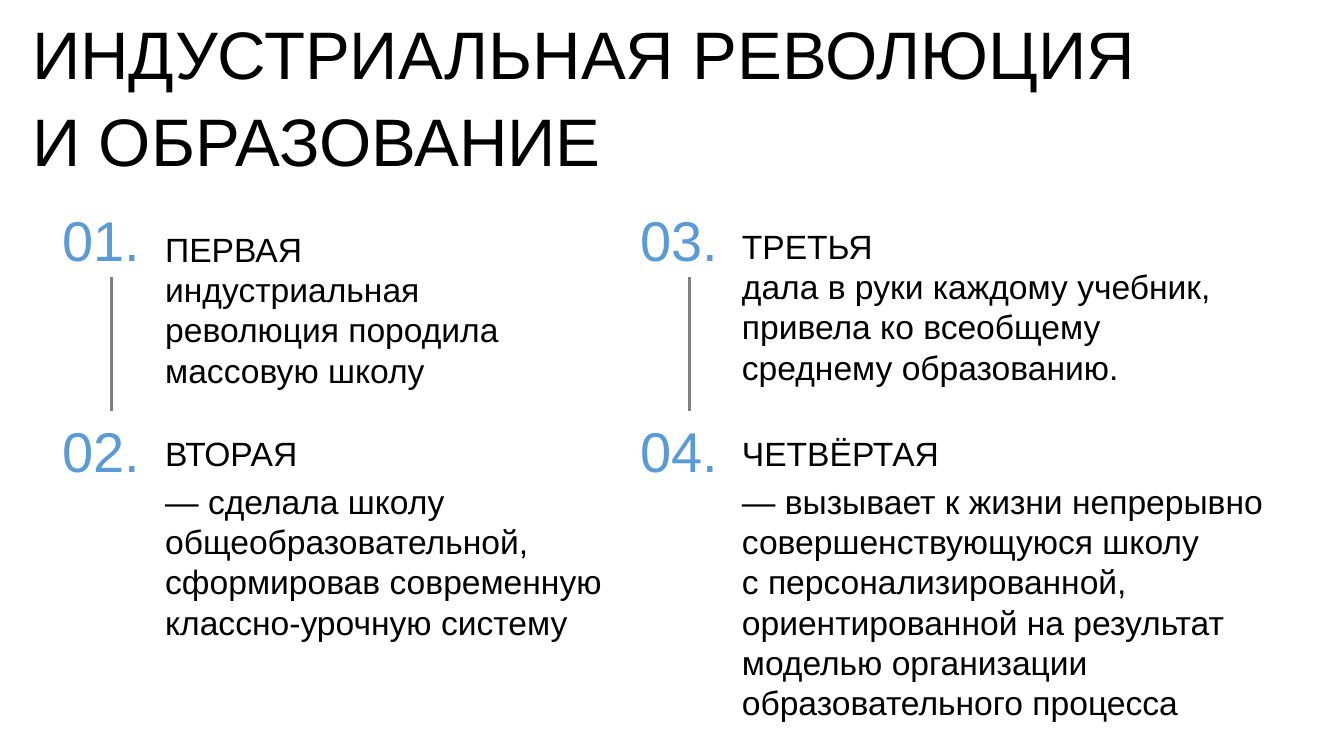
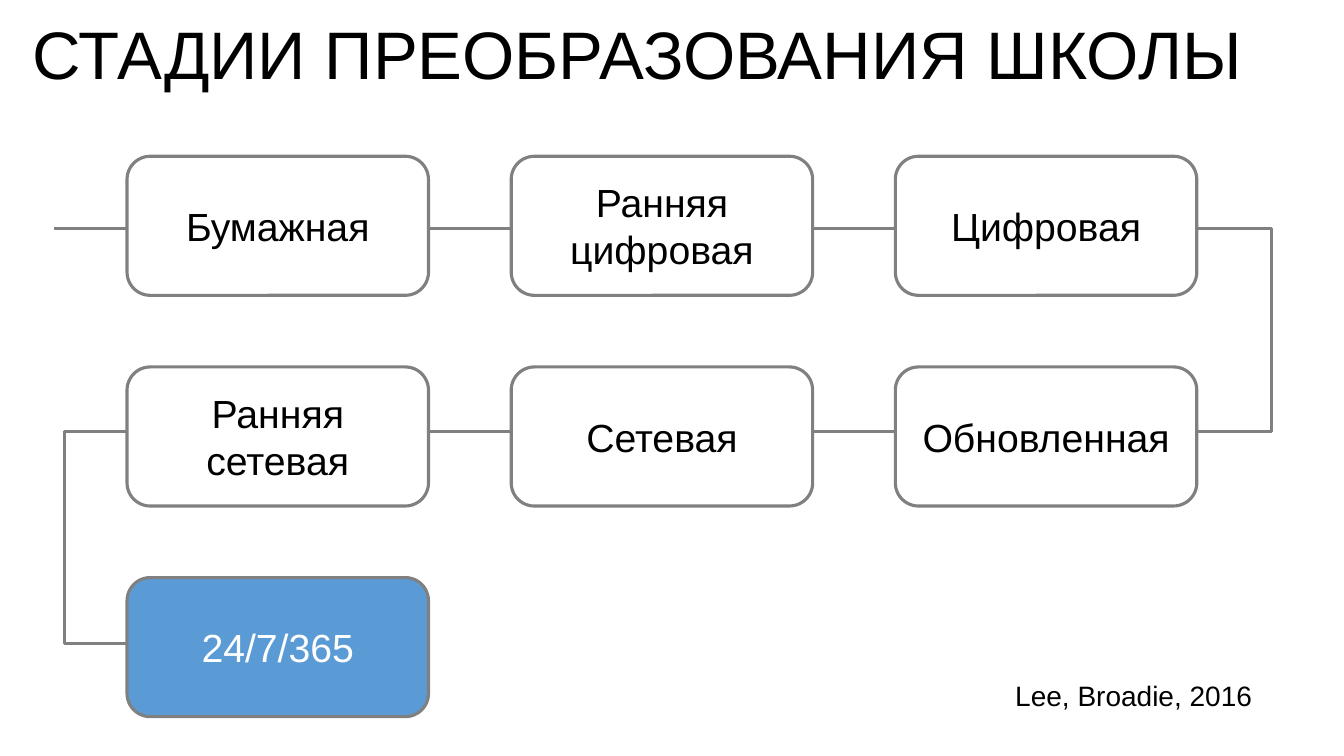
"""Build two slides on industrial revolutions and the stages of school change."""
from dataclasses import dataclass
from typing import Any

from lxml.etree import SubElement
from pptx import Presentation
from pptx.dml.color import RGBColor
from pptx.enum.shapes import MSO_CONNECTOR as Connector, MSO_SHAPE as Preset
from pptx.enum.text import MSO_ANCHOR as Anchor, PP_ALIGN as Align
from pptx.oxml.ns import qn
from pptx.util import Pt

EMU_PER_PX = 9144
SLIDE_WIDTH, SLIDE_HEIGHT = 1333, 750
BLANK_LAYOUT = 6

BLACK = RGBColor(0x00, 0x00, 0x00)
WHITE = RGBColor(0xFF, 0xFF, 0xFF)
BLUE = RGBColor(0x5B, 0x9B, 0xD5)
GRAY = RGBColor(0x80, 0x80, 0x80)

FONT_NAME = "Arial"
LINE_WIDTH = Pt(2.25)
TITLE_TOP, TITLE_PITCH = 7, 87

PHASE_LEFT, PHASE_TOP = 48, 199
PHASE_PITCH_X, PHASE_PITCH_Y = 573, 209
NUMBER_WIDTH, NUMBER_HEIGHT = 105, 77
RULE_OFFSET = 63

STAGE_LEFT, STAGE_TOP = 126, 155
STAGE_PITCH_X, STAGE_PITCH_Y = 381, 209
STAGE_WIDTH, STAGE_HEIGHT = 299, 138
STAGE_COLUMNS = 3
ROUTE = [(54, 227), (1261, 227), (1261, 428), (64, 428), (64, 638), (162, 638)]


@dataclass(frozen=True)
class Box:
    left: int
    top: int
    width: int
    height: int


@dataclass(frozen=True)
class Phase:
    number: str
    column: int
    row: int
    text: Box
    heading: str
    body: str
    gap: int = 0


PHASES = [
    Phase("01.", 0, 0, Box(154, 222, 398, 172), "ПЕРВАЯ",
          "индустриальная революция породила массовую школу"),
    Phase("02.", 0, 1, Box(154, 425, 456, 218), "ВТОРАЯ",
          "— сделала школу общеобразовательной, сформировав современную"
          "\vклассно-урочную систему", 5),
    Phase("03.", 1, 0, Box(726, 219, 488, 172), "ТРЕТЬЯ",
          "дала в руки каждому учебник, привела ко всеобщему среднему образованию."),
    Phase("04.", 1, 1, Box(726, 425, 542, 298), "ЧЕТВЁРТАЯ",
          "— вызывает к жизни непрерывно совершенствующуюся школу"
          "\vс персонализированной, ориентированной на результат"
          "\vмоделью организации образовательного процесса", 5),
]
STAGES = ["Бумажная", "Ранняя цифровая", "Цифровая", "Обновленная",
          "Сетевая", "Ранняя сетевая", "24/7/365"]


def px(length: int) -> int:
    return length * EMU_PER_PX


def place(box: Box) -> list[int]:
    return [px(length) for length in (box.left, box.top, box.width, box.height)]


def apply_format(target: Any, values: dict[str, Any]) -> None:
    for name, value in values.items():
        setattr(target, name, value)


def write(shape: Any, text: str, size: int, color: RGBColor = BLACK,
          align: Align = Align.LEFT, anchor: Anchor = Anchor.TOP) -> None:
    frame = shape.text_frame
    apply_format(frame, {"word_wrap": True, "vertical_anchor": anchor})
    frame.text = text
    for paragraph in frame.paragraphs:
        paragraph.alignment = align
        for run in paragraph.runs:
            apply_format(run.font, {"name": FONT_NAME, "size": Pt(size)})
            run.font.color.rgb = color


def add_text(slide: Any, box: Box, text: str, size: int,
             color: RGBColor = BLACK, align: Align = Align.LEFT) -> Any:
    shape = slide.shapes.add_textbox(*place(box))
    write(shape, text, size, color, align)
    return shape


def style_line(shape: Any) -> None:
    shape.line.width = LINE_WIDTH
    shape.line.color.rgb = GRAY


def add_title(slide: Any, *lines: str) -> None:
    for index, line in enumerate(lines):
        add_text(slide, Box(22, TITLE_TOP + index * TITLE_PITCH, 1260, 91), line, 48)


def add_phase(slide: Any, phase: Phase) -> None:
    number = Box(PHASE_LEFT + phase.column * PHASE_PITCH_X,
                 PHASE_TOP + phase.row * PHASE_PITCH_Y, NUMBER_WIDTH, NUMBER_HEIGHT)
    add_text(slide, number, phase.number, 40, BLUE, Align.CENTER)
    text = add_text(slide, phase.text, f"{phase.heading}\n{phase.body}", 24)
    text.text_frame.paragraphs[0].space_after = Pt(phase.gap)


def add_rule(slide: Any, column: int) -> None:
    x = px(PHASE_LEFT + RULE_OFFSET + column * PHASE_PITCH_X)
    top, bottom = PHASE_TOP + NUMBER_HEIGHT - 1, PHASE_TOP + PHASE_PITCH_Y
    rule = slide.shapes.add_connector(Connector.STRAIGHT, x, px(top), x, px(bottom))
    style_line(rule)
    SubElement(rule.element.spPr, qn("a:effectLst"))


def add_route(slide: Any) -> None:
    start, *corners = ROUTE
    builder = slide.shapes.build_freeform(*start, scale=EMU_PER_PX)
    builder.add_line_segments(corners, close=False)
    route = builder.convert_to_shape()
    route.fill.background()
    route.shadow.inherit = False
    style_line(route)


def add_stage(slide: Any, index: int, name: str) -> None:
    row, column = divmod(index, STAGE_COLUMNS)
    if row % 2:
        column = STAGE_COLUMNS - 1 - column
    is_last = index == len(STAGES) - 1
    box = Box(STAGE_LEFT + column * STAGE_PITCH_X, STAGE_TOP + row * STAGE_PITCH_Y,
              STAGE_WIDTH, STAGE_HEIGHT)
    stage = slide.shapes.add_shape(Preset.ROUNDED_RECTANGLE, *place(box))
    stage.shadow.inherit = False
    stage.fill.solid()
    stage.fill.fore_color.rgb = BLUE if is_last else WHITE
    style_line(stage)
    write(stage, name, 28, WHITE if is_last else BLACK, Align.CENTER, Anchor.MIDDLE)


def build_revolutions(slide: Any) -> None:
    add_title(slide, "ИНДУСТРИАЛЬНАЯ РЕВОЛЮЦИЯ", "И ОБРАЗОВАНИЕ")
    for phase in PHASES:
        add_phase(slide, phase)
    for column in range(2):
        add_rule(slide, column)


def build_stages(slide: Any) -> None:
    add_route(slide)
    add_title(slide, "СТАДИИ ПРЕОБРАЗОВАНИЯ ШКОЛЫ")
    for index, name in enumerate(STAGES):
        add_stage(slide, index, name)
    add_text(slide, Box(976, 668, 276, 44), "Lee, Broadie, 2016", 20, align=Align.RIGHT)


def main() -> None:
    presentation = Presentation()
    apply_format(presentation, {"slide_width": px(SLIDE_WIDTH),
                                "slide_height": px(SLIDE_HEIGHT)})
    for build in (build_revolutions, build_stages):
        build(presentation.slides.add_slide(presentation.slide_layouts[BLANK_LAYOUT]))
    presentation.save("out.pptx")


if __name__ == "__main__":
    main()
